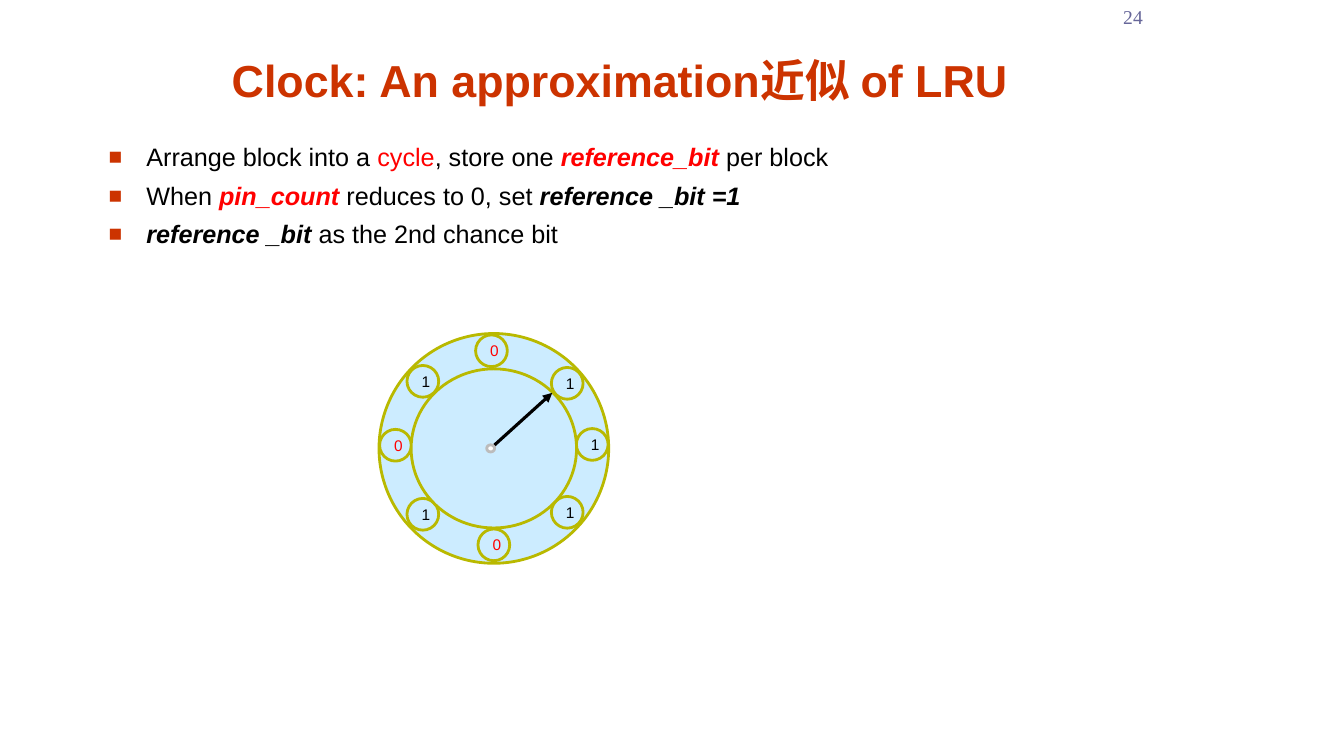
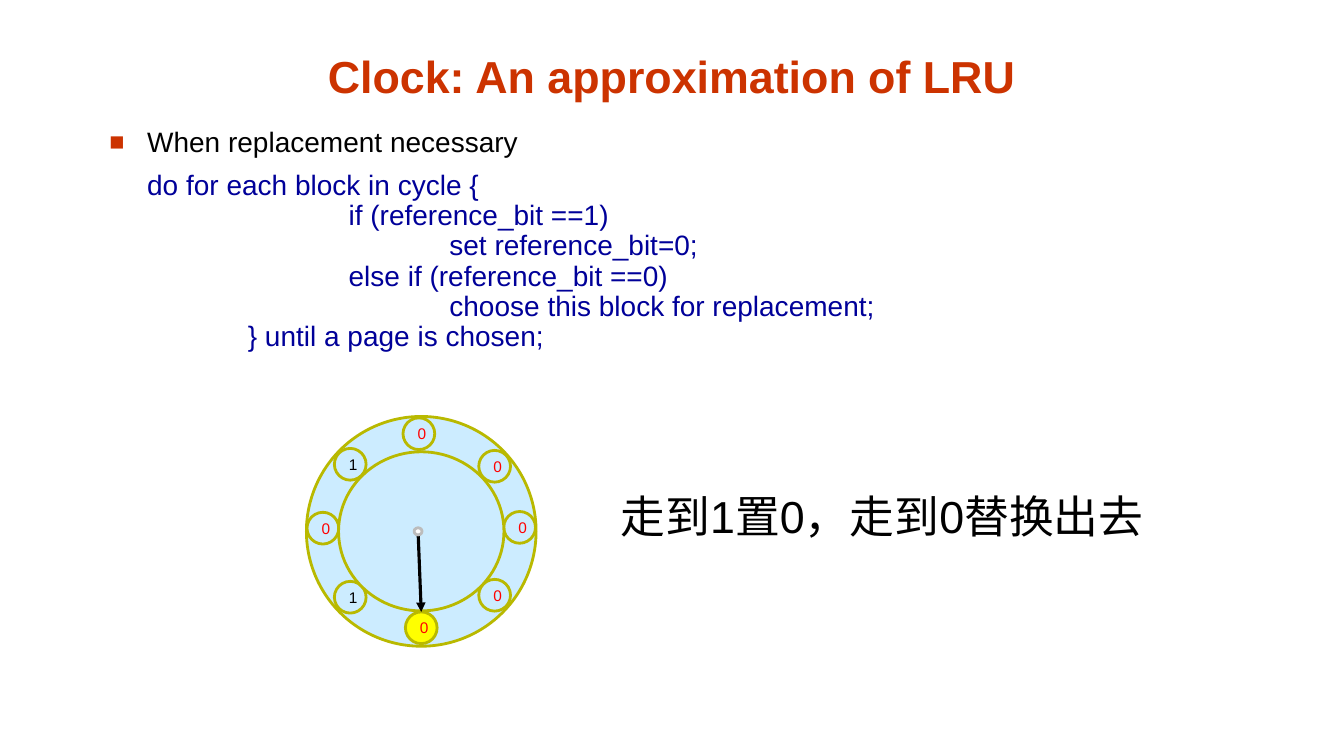
"""Build two slides on the clock approximation of LRU page replacement."""
from lxml.etree import SubElement
from pptx import Presentation
from pptx.dml.color import RGBColor
from pptx.enum.shapes import MSO_CONNECTOR as Connector, MSO_SHAPE as Shape
from pptx.enum.text import MSO_ANCHOR as Anchor, MSO_AUTO_SIZE as AutoSize, PP_ALIGN as Align
from pptx.oxml.ns import qn
from pptx.util import Cm, Pt

RUST = RGBColor(0xCC, 0x33, 0x00)
RED = RGBColor(0xFF, 0x00, 0x00)
BLACK = RGBColor(0x00, 0x00, 0x00)
WHITE = RGBColor(0xFF, 0xFF, 0xFF)
NAVY = RGBColor(0x00, 0x00, 0x99)
SLATE = RGBColor(0x66, 0x66, 0x99)
PALE_BLUE = RGBColor(0xCC, 0xEC, 0xFF)
OLIVE = RGBColor(0xB9, 0xB9, 0x00)
GREY = RGBColor(0xBC, 0xBC, 0xBC)
YELLOW = RGBColor(0xFF, 0xFF, 0x00)

INDENT = 0.95
TAB = 2.54
PIVOT = (-0.08, 0)
BLOCK_OFFSETS = (
    (-0.06, -2.46), (1.85, -1.64), (2.48, -0.1), (1.85, 1.61),
    (0, 2.43), (-1.79, 1.66), (-2.48, -0.08), (-1.79, -1.69),
)

PLAIN = (BLACK, False)
STRONG = (BLACK, True)
RED_PLAIN = (RED, False)
RED_STRONG = (RED, True)
RULES = (
    (("Arrange block into a ", PLAIN), ("cycle", RED_PLAIN), (", store one ", PLAIN),
     ("reference_bit ", RED_STRONG), ("per block", PLAIN)),
    (("When ", PLAIN), ("pin_count ", RED_STRONG), ("reduces to 0, set ", PLAIN),
     ("reference _bit =1", STRONG)),
    (("reference _bit ", STRONG), ("as the 2nd chance bit", PLAIN)),
)
CODE = (
    (0, "do for each block in cycle {"),
    (2, "if (reference_bit ==1)"),
    (3, "set reference_bit=0;"),
    (2, "else if (reference_bit ==0)"),
    (3, "choose this block for replacement;"),
    (1, "} until a page is chosen;"),
)


def style_font(font, size, color, name="Arial"):
    """Set the typeface, size and colour of a font."""
    font.name = name
    font.size = Pt(size)
    font.color.rgb = color


def add_box(slide, left, top, width, height):
    """Add a wrapping text box and return its text frame."""
    frame = slide.shapes.add_textbox(Cm(left), Cm(top), Cm(width), Cm(height)).text_frame
    frame.word_wrap = True
    return frame


def add_label(slide, place, text, size, color, align=Align.LEFT, name="Arial"):
    """Add a text box with a single styled run and return its frame."""
    frame = add_box(slide, *place)
    frame.text = text
    para = frame.paragraphs[0]
    para.alignment = align
    style_font(para.runs[0].font, size, color, name)
    return frame


def add_title(slide, text, left, top, width):
    """Add the bold slide title."""
    frame = add_label(slide, (left, top, width, 1.7), text, 32, RUST, Align.CENTER)
    frame.vertical_anchor = Anchor.BOTTOM
    para = frame.paragraphs[0]
    para.line_spacing = 0.9
    para.runs[0].font.bold = True


def next_para(frame, space, margin=INDENT):
    """Return a fresh body paragraph, spaced from the one before it."""
    para = frame.paragraphs[0]
    if para.runs:
        para = frame.add_paragraph()
        para.space_before = Pt(space)
    para.line_spacing = 0.9
    para._p.get_or_add_pPr().set("marL", str(Cm(margin)))
    return para


def add_bullet(frame, spans, size, space):
    """Add a square-bulleted paragraph made of styled spans."""
    para = next_para(frame, space)
    props = para._p.get_or_add_pPr()
    props.set("indent", str(-Cm(INDENT)))
    color = SubElement(props, qn("a:buClr"))
    SubElement(color, qn("a:srgbClr"), val=str(RUST))
    SubElement(props, qn("a:buSzPct"), val="90000")
    SubElement(props, qn("a:buFont"), typeface="Arial")
    SubElement(props, qn("a:buChar"), char="■")
    for text, (ink, strong) in spans:
        span = para.add_run()
        span.text = text
        style_font(span.font, size, ink)
        span.font.bold = span.font.italic = strong


def add_code(frame, lines, size, space):
    """Add code lines, each indented by its nesting level."""
    for number, (level, text) in enumerate(lines):
        para = next_para(frame, 0 if number else space, INDENT + level * TAB)
        para.text = text
        style_font(para.runs[0].font, size, NAVY)


def add_ellipse(slide, center, width, height, fill=PALE_BLUE, line=OLIVE):
    """Add an outlined ellipse around a centre point."""
    x, y = center
    ellipse = slide.shapes.add_shape(
        Shape.OVAL, Cm(x - width / 2), Cm(y - height / 2), Cm(width), Cm(height))
    ellipse.shadow.inherit = False
    ellipse.fill.solid()
    ellipse.fill.fore_color.rgb = fill
    ellipse.line.color.rgb = line
    ellipse.line.width = Pt(2)
    return ellipse


def add_arrow(slide, start, end):
    """Add a black line with an arrowhead at its end."""
    arrow = slide.shapes.add_connector(Connector.STRAIGHT, *map(Cm, start + end))
    arrow.line.color.rgb = BLACK
    arrow.line.width = Pt(2.25)
    SubElement(arrow.line._get_or_add_ln(), qn("a:tailEnd"), type="triangle")
    SubElement(arrow._element.spPr, qn("a:effectLst"))


def add_clock(slide, center, bits, tip, chosen=None):
    """Add the clock: ring, clockwise reference bits from the top, and hand."""
    def at(offset):
        """Turn an offset from the clock centre into a slide position."""
        return center[0] + offset[0], center[1] + offset[1]

    add_ellipse(slide, center, 5.79, 5.79)
    for number, (bit, offset) in enumerate(zip(bits, BLOCK_OFFSETS)):
        fill = YELLOW if number == chosen else PALE_BLUE
        frame = add_ellipse(slide, at(offset), 0.8, 0.8, fill).text_frame
        frame.text = bit
        frame.vertical_anchor = Anchor.MIDDLE
        para = frame.paragraphs[0]
        para.alignment = Align.CENTER
        style_font(para.runs[0].font, 11, RED if bit == "0" else BLACK)
    add_ellipse(slide, center, 4.17, 4.01)
    add_arrow(slide, at(PIVOT), at(tip))
    add_ellipse(slide, at(PIVOT), 0.2, 0.18, WHITE, GREY)


def add_setup_slide(deck):
    """Add the slide that introduces the cycle and its reference bits."""
    slide = deck.slides.add_slide(deck.slide_layouts[6])
    add_title(slide, "Clock: An approximation近似 of LRU", 4.29, 1.12, 22.66)
    body = add_box(slide, 2.49, 3.53, 22.86, 3.76)
    for spans in RULES:
        add_bullet(body, spans, 18, 7.9)
    add_clock(slide, (12.45, 11.3), "01110101", (1.47, -1.4))
    add_label(slide, (26.95, 0, 2.11, 1.02), "24", 14, SLATE, Align.RIGHT, "Times New Roman")


def add_replacement_slide(deck):
    """Add the slide that shows how a block is chosen for replacement."""
    slide = deck.slides.add_slide(deck.slide_layouts[6])
    add_title(slide, "Clock: An approximation of LRU", 6.83, 1.02, 20.22)
    body = add_box(slide, 2.51, 3.12, 22.86, 12.88)
    add_bullet(body, (("When replacement necessary", PLAIN),), 20, 8.8)
    add_code(body, CODE, 20, 8.8)
    add_clock(slide, (10.62, 13.39), "00000101", (0, 2.03), chosen=4)
    note = add_label(slide, (15.39, 12.19, 14.15, 2.97), "走到1置0，走到0替换出去", 32, BLACK)
    note.auto_size = AutoSize.SHAPE_TO_FIT_TEXT


def main():
    """Build and save the deck."""
    deck = Presentation()
    deck.slide_width = Cm(33.88)
    deck.slide_height = Cm(19.05)
    add_setup_slide(deck)
    add_replacement_slide(deck)
    deck.save("out.pptx")


if __name__ == "__main__":
    main()
